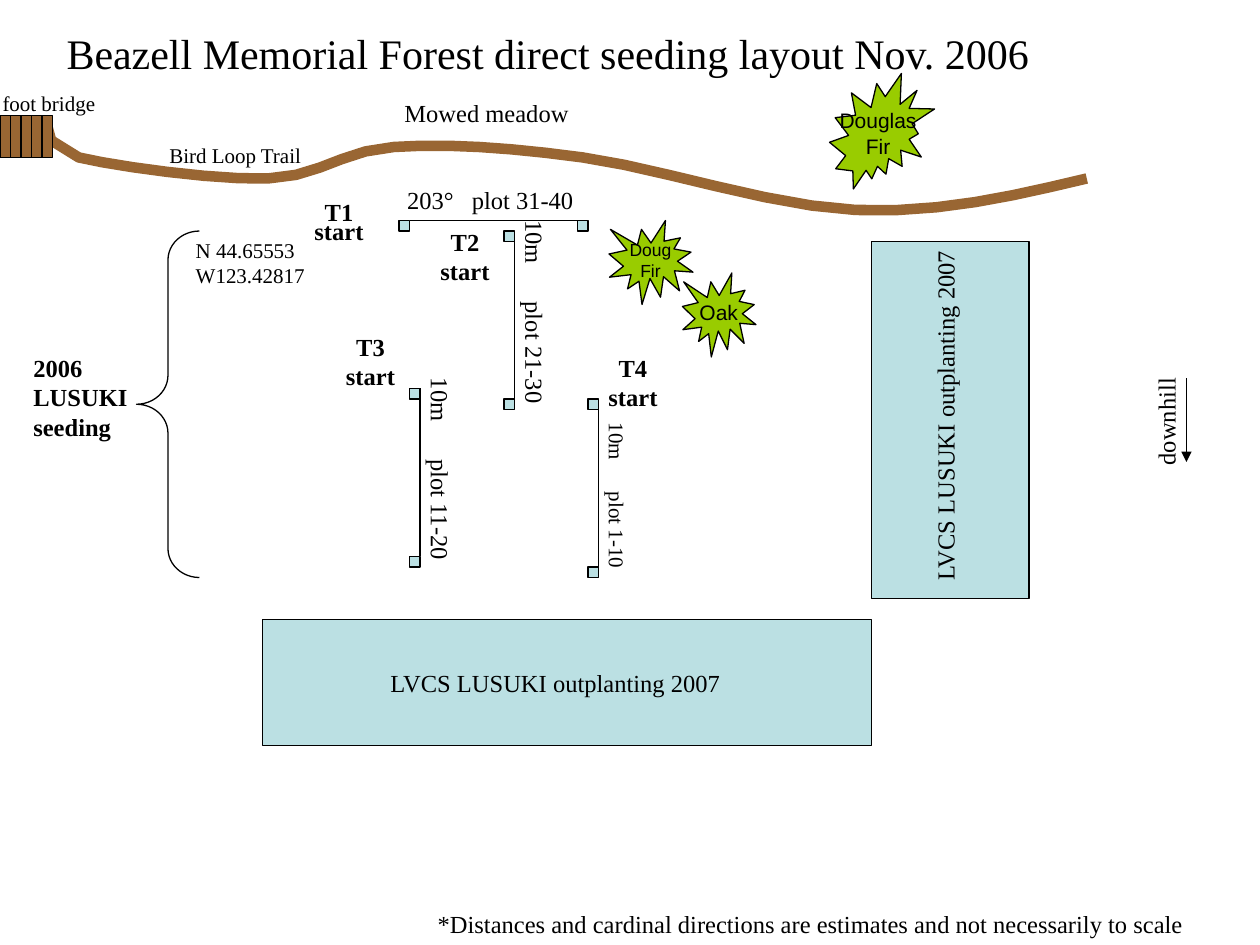
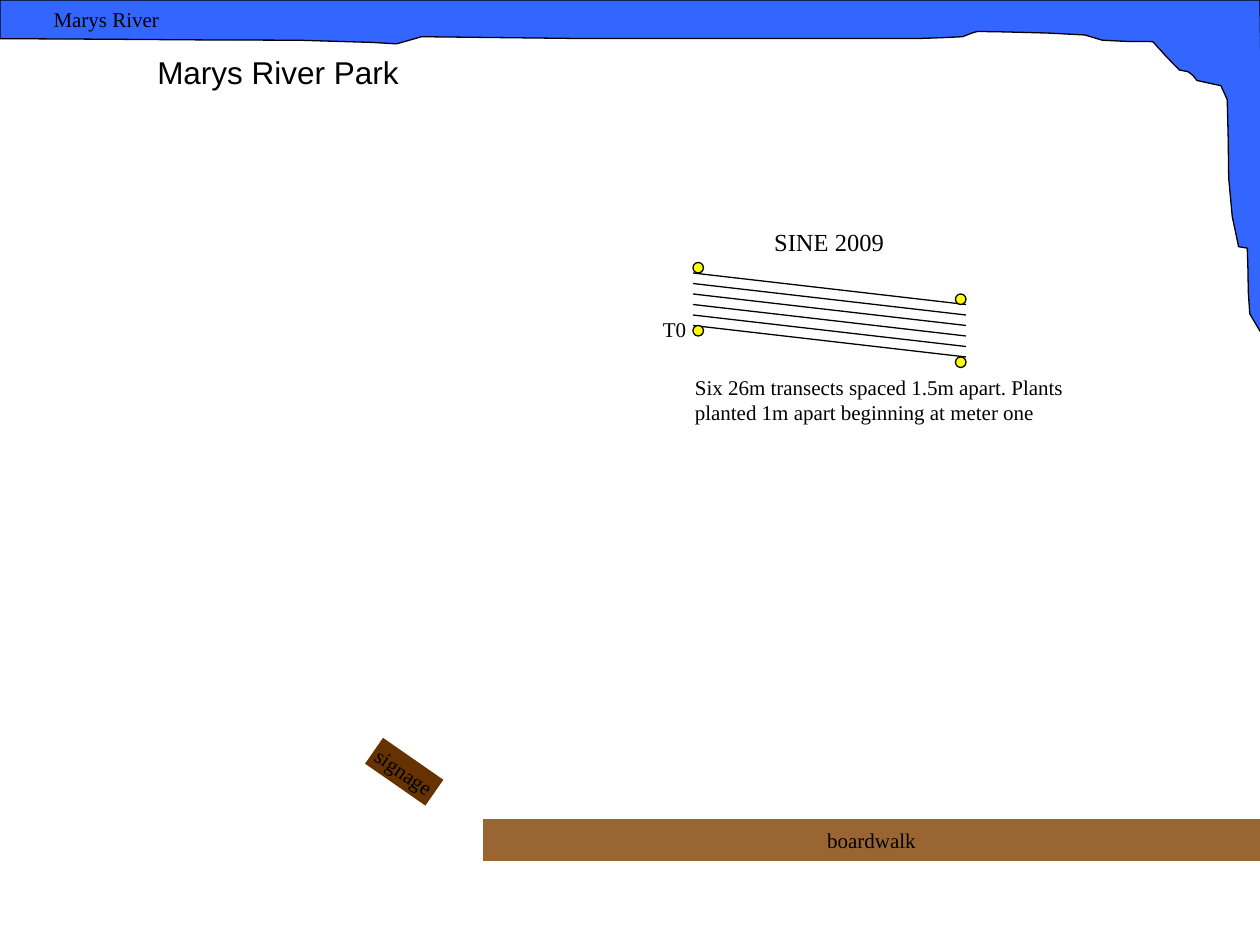
"""Draw the seeding layout maps for Beazell Memorial Forest and Marys River Park."""
from math import ceil, dist

from lxml import etree
from pptx import Presentation
from pptx.dml.color import RGBColor
from pptx.enum.shapes import MSO_CONNECTOR, MSO_SHAPE
from pptx.enum.text import MSO_ANCHOR, MSO_AUTO_SIZE, PP_ALIGN
from pptx.oxml.ns import qn
from pptx.util import Pt

LEFT, MID = PP_ALIGN.LEFT, PP_ALIGN.CENTER
TOP, CORE = MSO_ANCHOR.TOP, MSO_ANCHOR.MIDDLE
FIT = MSO_AUTO_SIZE.SHAPE_TO_FIT_TEXT
RECT, OVAL, BRACE = MSO_SHAPE.RECTANGLE, MSO_SHAPE.OVAL, MSO_SHAPE.LEFT_BRACE
BURST, SPIKE = MSO_SHAPE.EXPLOSION1, MSO_SHAPE.EXPLOSION2
STRAIGHT = MSO_CONNECTOR.STRAIGHT

INK = {"black": "000000", "plot": "BBE0E3", "tree": "99CC00", "wood": "996633",
       "sign": "663300", "water": "3366FF", "dot": "FFFF00"}
SERIF, SANS = "Times New Roman", "Arial"
THIN = 0.75
MARK = 6
RUN = 96

TRAIL = [(621, 102), (579, 112, 537, 122, 489, 120), (441, 118, 377, 96, 333, 90),
         (289, 84, 255, 82, 225, 84), (195, 86, 183, 101, 153, 102),
         (123, 103, 66, 95, 45, 90), (24, 85, 30, 75, 27, 72)]
RIVER = [(0, 22.1), (57, 22.3, 114, 23, 171, 23), (236, 23, 217, 29, 241, 21),
         (335.5, 23, 430.5, 21.6, 525, 22), (533.5, 21.6, 541.5, 21.6, 550, 21),
         (552, 21, 554, 19.5, 556, 18.7), (557.3, 18.7, 558.7, 18, 558.7, 18),
         (564.5, 18, 605, 18.7, 620, 20), (623.5, 20, 626.5, 23, 630, 23),
         (639.4, 23.8, 649.5, 23.8, 658.8, 23.8), (661, 26, 672, 38.9, 674, 40),
         (675.4, 40.3, 677.5, 40.3, 679, 41), (679.7, 41.8, 681, 42.5, 681.8, 43.2),
         (682.6, 44, 683.3, 45.4, 684, 46), (687.6, 48.2, 694, 48.2, 697.7, 49),
         (698.4, 51.8, 700.6, 54, 701.3, 56.9),
         (702.7, 79.2, 700.6, 102.2, 704.2, 123.8),
         (704.2, 123.8, 707.8, 140.4, 707.8, 141),
         (709.2, 142.6, 711.4, 141.8, 712.8, 141.8),
         (713.5, 154, 712.8, 167, 714.2, 179.3), (714.2, 182, 717, 185, 719.3, 188),
         (720, 190, 722.9, 193.7, 722.9, 193.7), (720, 0), (0, 0)]


def tint(name):
    return RGBColor.from_string(INK[name])


def write(shape, text, size=14, font=SERIF, bold=False, align=LEFT, anchor=TOP,
          wrap=False, space=None, tab=None):
    frame = shape.text_frame
    frame.word_wrap = wrap
    frame.vertical_anchor = anchor
    frame.text = text
    for para in frame.paragraphs:
        if tab:
            props = para._p.get_or_add_pPr()
            stops = etree.SubElement(props, qn("a:tabLst"))
            etree.SubElement(stops, qn("a:tab"), pos=str(Pt(tab)), algn="l")
        para.alignment = align
        if space:
            para.line_spacing = space
        para.font.size = Pt(size)
        para.font.name = font
        para.font.bold = bold
        para.font.color.rgb = tint("black")


def label(page, text, x, y, w, h, turn=0, **style):
    box = page.add_textbox(Pt(x), Pt(y), Pt(w), Pt(h))
    write(box, text, **style)
    box.text_frame.auto_size = FIT
    box.rotation = turn


def title(slide, text, x, y, w, h, **style):
    box = slide.shapes.title
    box.left, box.top, box.width, box.height = Pt(x), Pt(y), Pt(w), Pt(h)
    write(box, text, wrap=True, **style)


def paint(shape, fill=None, width=THIN, line="black"):
    shape.shadow.inherit = False
    if fill:
        shape.fill.solid()
        shape.fill.fore_color.rgb = tint(fill)
    else:
        shape.fill.background()
    if width:
        shape.line.width = Pt(width)
        shape.line.color.rgb = tint(line)
    else:
        shape.line.fill.background()


def block(page, kind, x, y, w, h, fill=None, width=THIN, text=None, **style):
    shape = page.add_shape(kind, Pt(x), Pt(y), Pt(w), Pt(h))
    paint(shape, fill, width)
    if text:
        write(shape, text, align=MID, anchor=CORE, **style)
    return shape


def rule(page, x1, y1, x2, y2, arrow=False):
    link = page.add_connector(STRAIGHT, Pt(x1), Pt(y1), Pt(x2), Pt(y2))
    link.line.width = Pt(THIN)
    link.line.color.rgb = tint("black")
    if arrow:
        etree.SubElement(link.line._ln, qn("a:tailEnd"), type="triangle")
    etree.SubElement(link._element.spPr, qn("a:effectLst"))


def trace(steps, most):
    """Turn cubic curves and straight steps into points, more on longer curves."""
    spots = [steps[0]]
    for step in steps[1:]:
        if len(step) == 2:
            spots.append(step)
            continue
        knots = [spots[-1], step[:2], step[2:4], step[4:]]
        parts = min(most, ceil(dist(knots[0], knots[3]) / 16))
        for n in range(1, parts + 1):
            t = n / parts
            mix = ((1 - t) ** 3, 3 * t * (1 - t) ** 2, 3 * t * t * (1 - t), t ** 3)
            spots.append(tuple(sum(m * k[i] for m, k in zip(mix, knots))
                               for i in (0, 1)))
    return [(Pt(x), Pt(y)) for x, y in spots]


def curve(page, steps, most, close=False, **look):
    first, *rest = trace(steps, most)
    pen = page.build_freeform(*first)
    pen.add_line_segments(rest, close=close)
    paint(pen.convert_to_shape(), **look)


def mark(page, x, y, kind=RECT, fill="plot"):
    block(page, kind, x, y, MARK, MARK, fill)


def column(page, x, y):
    mark(page, x, y)
    mark(page, x, y + RUN)
    rule(page, x + MARK, y, x + MARK, y + RUN)


def bridge(page):
    deck = page.add_group_shape().shapes
    block(deck, RECT, 12, 66, 18, 24, "wood")
    block(deck, RECT, 0, 66, 12, 24, "wood")
    for x in (6, 18, 24):
        rule(deck, x, 66, x, 90)


def forest(slide):
    page = slide.shapes
    title(slide, "Beazell Memorial Forest direct seeding layout Nov. 2006",
          30.8, 12, 655, 36, size=24)
    for text, x, y, w, h, size in (("Bird Loop Trail", 89.7, 78, 101.5, 21.6, 12),
                                   ("foot bridge", -5.6, 48, 77, 21.6, 12),
                                   ("Mowed meadow", 224, 52.5, 124.5, 24.5, 14),
                                   ("N 44.65553\nW123.42817",
                                    104.8, 132, 83.5, 36, 12)):
        label(page, text, x, y, w, h, size=size)

    for kind, text, x, y, w, h, size in ((BURST, "Doug\nFir", 348, 126, 48, 48, 10),
                                         (SPIKE, "Douglas\nFir", 474, 42, 60, 66, 12),
                                         (BURST, "Oak", 390, 156, 42, 48, 12)):
        block(page, kind, x, y, w, h, "tree", text=text, size=size, font=SANS)

    mark(page, 228, 126)
    mark(page, 330, 126)
    rule(page, 330, 126, 234, 126)
    for x, y in ((288, 132), (234, 222), (336, 228)):
        column(page, x, y)
    for name, x, y, space in (("T1", 169.7, 114.3, 0.65), ("T2", 241.7, 126, None),
                              ("T3", 187.7, 186, None), ("T4", 337.7, 198, None)):
        label(page, name + "\nstart", x, y, 48, 30 if space else 41,
              bold=True, align=MID, space=space)
    label(page, "203°\tplot 31-40", 225.5, 102, 123, 24.5, wrap=True, tab=37)
    for plot, x, y, w, h, size, tab in (("21-30", 240.5, 171.6, 130, 24.5, 14, 46.5),
                                        ("11-20", 186.5, 261.6, 130, 24.5, 14, 46.5),
                                        ("1-10", 299.5, 277, 106.5, 21.5, 12, 39.5)):
        label(page, "10m\tplot " + plot, x, y, w, h, turn=90, size=size,
              wrap=True, tab=tab)

    curve(page, TRAIL, 6, width=6, line="wood")
    block(page, RECT, 150, 354, 348, 72, "plot")
    block(page, RECT, 498, 138, 90, 204, "plot")
    crop = "LVCS LUSUKI outplanting 2007"
    label(page, crop, 216, 378, 246, 24.5, wrap=True)
    label(page, crop, 442, 212, 213, 41, turn=270, wrap=True)
    label(page, "2006 LUSUKI seeding", 12, 198, 72, 57.5, bold=True, wrap=True)
    brace = block(page, BRACE, 78, 132, 36, 198)
    brace.adjustments[0] = 0.46
    label(page, "downhill", 629.5, 223.7, 74, 24.5, turn=270)
    rule(page, 678, 216, 678, 264, arrow=True)
    label(page, "*Distances and cardinal directions are estimates "
          "and not necessarily to scale", 243, 516, 465, 24.5, wrap=True)
    bridge(page)


def park(slide):
    page = slide.shapes
    title(slide, "Marys River Park", 82.7, 26.5, 160, 29, size=18, font=SANS)
    block(page, RECT, 276, 468, 444, 24, "wood", 0, "boardwalk", size=12)
    sign = block(page, RECT, 210, 432, 42, 18, "sign", 0, "signage", size=12)
    sign.rotation = 34.8
    curve(page, RIVER, 3, close=True, fill="water")
    label(page, "Marys River", 23.5, 0, 84.5, 21.5, size=12)
    for n in range(6):
        y = 156 + n * MARK
        rule(page, 396, y, 552, y + 18)
    for x, y in ((546, 168), (396, 150)):
        for drop in (36, 0):
            mark(page, x, y + drop, OVAL, "dot")
    label(page, "Six 26m transects spaced 1.5m apart. Plants planted 1m apart "
          "beginning at meter one", 390, 210.3, 228, 50, size=12, wrap=True)
    label(page, "T0", 371.7, 177.4, 28, 21.5, size=12)
    label(page, "SINE 2009", 435.3, 126, 81.5, 24.5)


def main():
    deck = Presentation()
    deck.slide_width, deck.slide_height = Pt(720), Pt(540)
    for draw in (forest, park):
        draw(deck.slides.add_slide(deck.slide_layouts[5]))
    deck.save("out.pptx")


if __name__ == "__main__":
    main()
